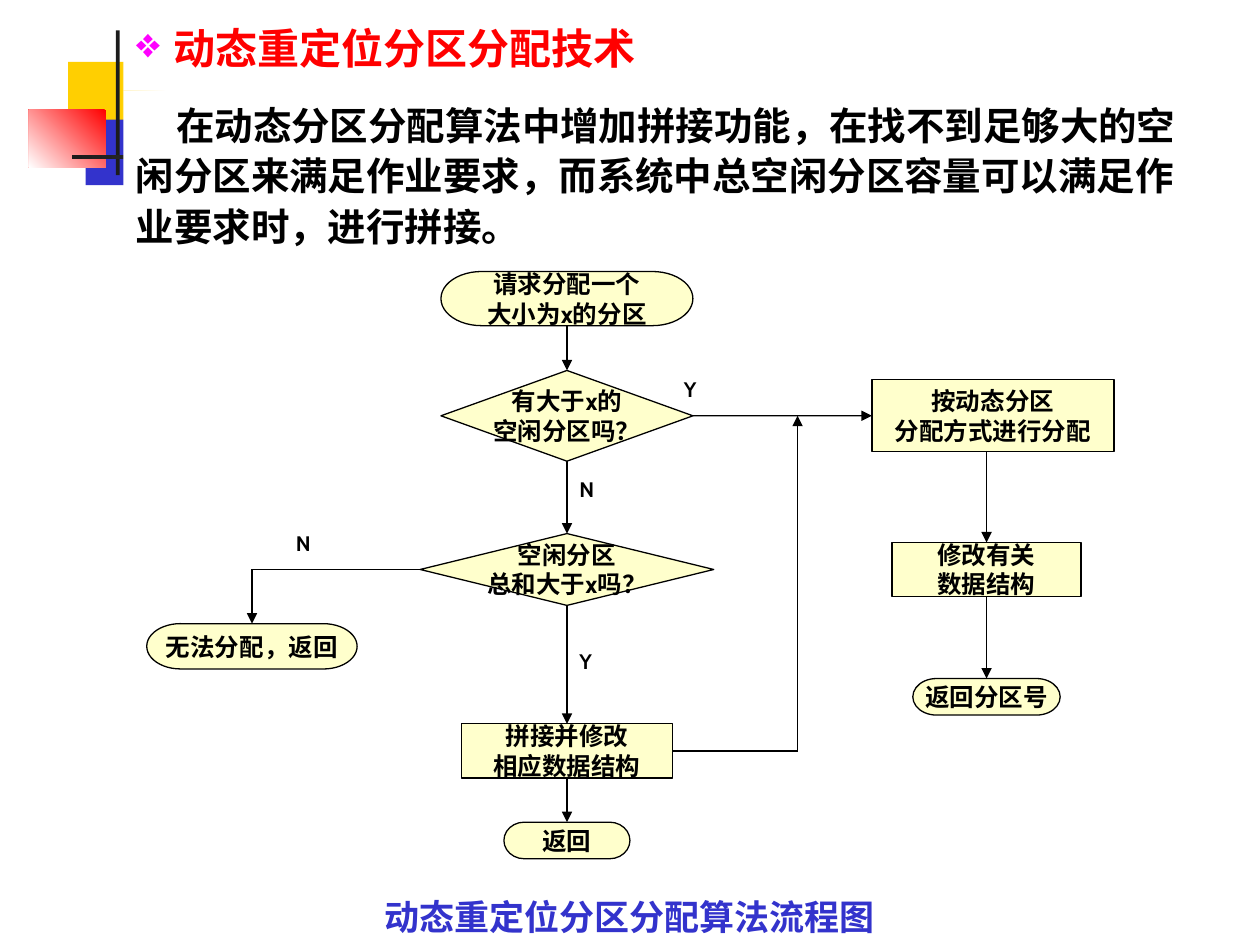
from dataclasses import dataclass

from lxml import etree
from pptx import Presentation
from pptx.dml.color import RGBColor
from pptx.enum.shapes import MSO_CONNECTOR, MSO_SHAPE
from pptx.enum.text import MSO_ANCHOR, MSO_AUTO_SIZE, PP_ALIGN
from pptx.oxml.ns import qn
from pptx.util import Inches, Pt

RECTANGLE = MSO_SHAPE.RECTANGLE
DECISION = MSO_SHAPE.FLOWCHART_DECISION
PROCESS = MSO_SHAPE.FLOWCHART_PROCESS
TERMINATOR = MSO_SHAPE.FLOWCHART_TERMINATOR
STRAIGHT = MSO_CONNECTOR.STRAIGHT
TOP, MIDDLE = MSO_ANCHOR.TOP, MSO_ANCHOR.MIDDLE
LEFT, CENTER = PP_ALIGN.LEFT, PP_ALIGN.CENTER
NO_FIT = MSO_AUTO_SIZE.NONE
NORTH, WEST, SOUTH, EAST = range(4)


@dataclass(frozen=True)
class Theme:
    """Colours, fonts and type styles of the slide."""
    white: str = "FFFFFF"
    black: str = "000000"
    gold: str = "FFCF01"
    blue: str = "3333CC"
    red: str = "FF0000"
    charcoal: str = "1C1C1C"
    magenta: str = "FF00FF"
    cream: str = "FFFFCC"
    latin: str = "Cabin"
    chinese: str = "Noto Sans CJK SC"
    title_size: int = 24
    body_size: int = 22
    caption_size: int = 20
    node_size: int = 14
    label_size: int = 12
    line_width: float = 0.75


@dataclass(frozen=True)
class Box:
    """A region in inches."""
    left: float
    top: float
    width: float
    height: float

    def inner(self, left, top, width, height):
        """Return the EMU frame of a part placed relative to this box."""
        return [Inches(v) for v in (self.left + left, self.top + top, width, height)]

    def point(self, x, y):
        """Return the EMU position of a point relative to this box."""
        return Inches(self.left + x), Inches(self.top + y)


THEME = Theme()


def rgb(value):
    """Turn a hex string into a colour."""
    return RGBColor.from_string(value)


def paint(shape, colors, angle=0):
    """Fill a shape with one colour or a two-colour gradient."""
    if len(colors) == 1:
        shape.fill.solid()
        shape.fill.fore_color.rgb = rgb(colors[0])
        return
    shape.fill.gradient()
    shape.fill.gradient_angle = angle
    for stop, color in zip(shape.fill.gradient_stops, colors):
        stop.color.rgb = rgb(color)


def write(frame, lines, size, color, font=THEME.latin, align=LEFT, anchor=TOP, wrap=True):
    """Fill a text frame with bold paragraphs in one style."""
    frame_format = {"word_wrap": wrap, "auto_size": NO_FIT, "vertical_anchor": anchor}
    for key, value in frame_format.items():
        setattr(frame, key, value)
    frame.text = "\n".join(lines)
    for paragraph in frame.paragraphs:
        paragraph.alignment = align
        for run in paragraph.runs:
            for key, value in {"name": font, "size": Pt(size), "bold": True}.items():
                setattr(run.font, key, value)
            run.font.color.rgb = rgb(color)


def add_motif(slide, box):
    """Draw the coloured squares and crossed bars."""
    parts = [
        (0.31, 0.25, 0.48, 0.52, [THEME.gold], 0),
        (0.73, 0.25, 0.36, 0.52, [THEME.white, THEME.gold], 180),
        (0.45, 0.71, 0.46, 0.52, [THEME.blue], 0),
        (0, 0.63, 0.61, 0.46, [THEME.red, THEME.white], 225),
        (0.69, 0, 0.03, 1.15, [THEME.charcoal], 0),
        (0.34, 0.99, 9, 0.03, [THEME.white, THEME.charcoal], 180),
    ]
    for *frame, colors, angle in parts:
        part = slide.shapes.add_shape(RECTANGLE, *box.inner(*frame))
        part.shadow.inherit = False
        part.line.fill.background()
        paint(part, colors, angle)


def add_heading(slide, box):
    """Place the bulleted title and the paragraph beneath it."""
    split = 0.59
    title = slide.shapes.title
    slide.shapes._spTree.append(title._element)
    frame = box.inner(0, 0, box.width, split)
    for key, value in zip(("left", "top", "width", "height"), frame):
        setattr(title, key, value)
    paint(title, [THEME.white])
    write(title.text_frame, ["动态重定位分区分配技术"],
          THEME.title_size, THEME.red, THEME.chinese)
    properties = title.text_frame.paragraphs[0]._p.get_or_add_pPr()
    properties.set("marL", str(Inches(0.3)))
    properties.set("indent", str(Inches(-0.3)))
    bullet_color = etree.SubElement(properties, qn("a:buClr"))
    etree.SubElement(bullet_color, qn("a:srgbClr"), val=THEME.magenta)
    etree.SubElement(properties, qn("a:buChar"), char="❖")

    body = slide.shapes.add_textbox(*box.inner(0, split, box.width, box.height - split))
    paint(body, [THEME.white])
    write(body.text_frame, [
        "在动态分区分配算法中增加拼接功能，在找不到足够大的空闲分区来满足作业要求，"
        "而系统中总空闲分区容量可以满足作业要求时，进行拼接。"
    ], THEME.body_size, THEME.black, THEME.chinese)
    paragraph = body.text_frame.paragraphs[0]
    paragraph.line_spacing = 1.1
    paragraph._p.get_or_add_pPr().set("indent", str(Inches(0.32)))


def add_node(slide, box, kind, x, y, width, height, lines):
    """Add a flowchart node centred on a point of the box."""
    frame = box.inner(x - width / 2, y - height / 2, width, height)
    node = slide.shapes.add_shape(kind, *frame)
    node.shadow.inherit = False
    paint(node, [THEME.cream])
    node.line.color.rgb = rgb(THEME.black)
    node.line.width = Pt(THEME.line_width)
    write(node.text_frame, lines, THEME.node_size, THEME.black,
          align=CENTER, anchor=MIDDLE, wrap=False)
    return node


def add_flow_line(slide, box, nodes, start, end, arrow=True):
    """Draw a line between node sides or free points of the box."""
    points = [(0, 0) if isinstance(stop[0], str) else box.point(*stop) for stop in (start, end)]
    line = slide.shapes.add_connector(STRAIGHT, *points[0], *points[1])
    for stop, join in ((start, line.begin_connect), (end, line.end_connect)):
        if isinstance(stop[0], str):
            join(nodes[stop[0]], stop[1])
    line.line.color.rgb = rgb(THEME.black)
    line.line.width = Pt(THEME.line_width)
    if arrow:
        etree.SubElement(line.line._get_or_add_ln(), qn("a:tailEnd"), type="triangle")
    etree.SubElement(line._element.spPr, qn("a:effectLst"))


def add_flowchart(slide, box):
    """Draw the allocation flowchart with its branch labels."""
    main, right, fail, merge = 3.5, 6.83, 1, 5.33
    check, total, compact = 1.15, 2.37, 3.81
    node_specs = {
        "request": (TERMINATOR, main, 0.22, 2, 0.43, ["请求分配一个", "大小为x的分区"]),
        "check": (DECISION, main, check, 2, 0.72, ["有大于x的", "空闲分区吗？"]),
        "total": (DECISION, main, total, 2.33, 0.57, ["空闲分区", "总和大于x吗？"]),
        "compact": (PROCESS, main, compact, 1.67, 0.43, ["拼接并修改", "相应数据结构"]),
        "return": (TERMINATOR, main, 4.52, 1, 0.29, ["返回"]),
        "fail": (TERMINATOR, fail, 2.98, 1.67, 0.36, ["无法分配，返回"]),
        "allocate": (PROCESS, 6.88, check, 1.92, 0.57, ["按动态分区", "分配方式进行分配"]),
        "update": (PROCESS, right, total, 1.5, 0.43, ["修改有关", "数据结构"]),
        "number": (TERMINATOR, right, 3.38, 1.17, 0.29, ["返回分区号"]),
    }
    nodes = {key: add_node(slide, box, *spec) for key, spec in node_specs.items()}

    chain = ["request", "check", "total", "compact", "return"]
    for upper, lower in zip(chain, chain[1:]):
        add_flow_line(slide, box, nodes, (upper, SOUTH), (lower, NORTH))
    branches = [
        (("check", EAST), ("allocate", WEST), True),
        ((right, 1.44), ("update", NORTH), True),
        (("update", SOUTH), ("number", NORTH), True),
        (("compact", EAST), (merge, compact), False),
        ((merge, compact), (merge, check), True),
        (("total", WEST), (fail, total), False),
        ((fail, total), ("fail", NORTH), True),
    ]
    for start, end, arrow in branches:
        add_flow_line(slide, box, nodes, start, end, arrow)

    answers = [("Y", 4.33, 0.79), ("Y", 3.5, 2.95), ("N", 3.5, 1.58), ("N", 1.25, 2.01)]
    for answer, x, y in answers:
        label = slide.shapes.add_textbox(*box.inner(x, y, 0.42, 0.3))
        write(label.text_frame, [answer], THEME.label_size, THEME.black)


def add_caption(slide, box):
    """Place the flowchart caption."""
    caption = slide.shapes.add_textbox(*box.inner(0, 0, box.width, box.height))
    write(caption.text_frame, ["动态重定位分区分配算法流程图"], THEME.caption_size, THEME.blue)


def main():
    """Build and save the slide."""
    deck = Presentation()
    deck.slide_width, deck.slide_height = Inches(10), Inches(7.5)
    slide = deck.slides.add_slide(deck.slide_layouts[5])
    add_motif(slide, Box(0.23, 0.24, 9.34, 1.23))
    add_heading(slide, Box(0.98, 0.13, 8.58, 1.9))
    add_flowchart(slide, Box(1, 2.15, 7.84, 4.67))
    add_caption(slide, Box(2.95, 7.06, 4.17, 0.44))
    deck.save("out.pptx")


if __name__ == "__main__":
    main()
